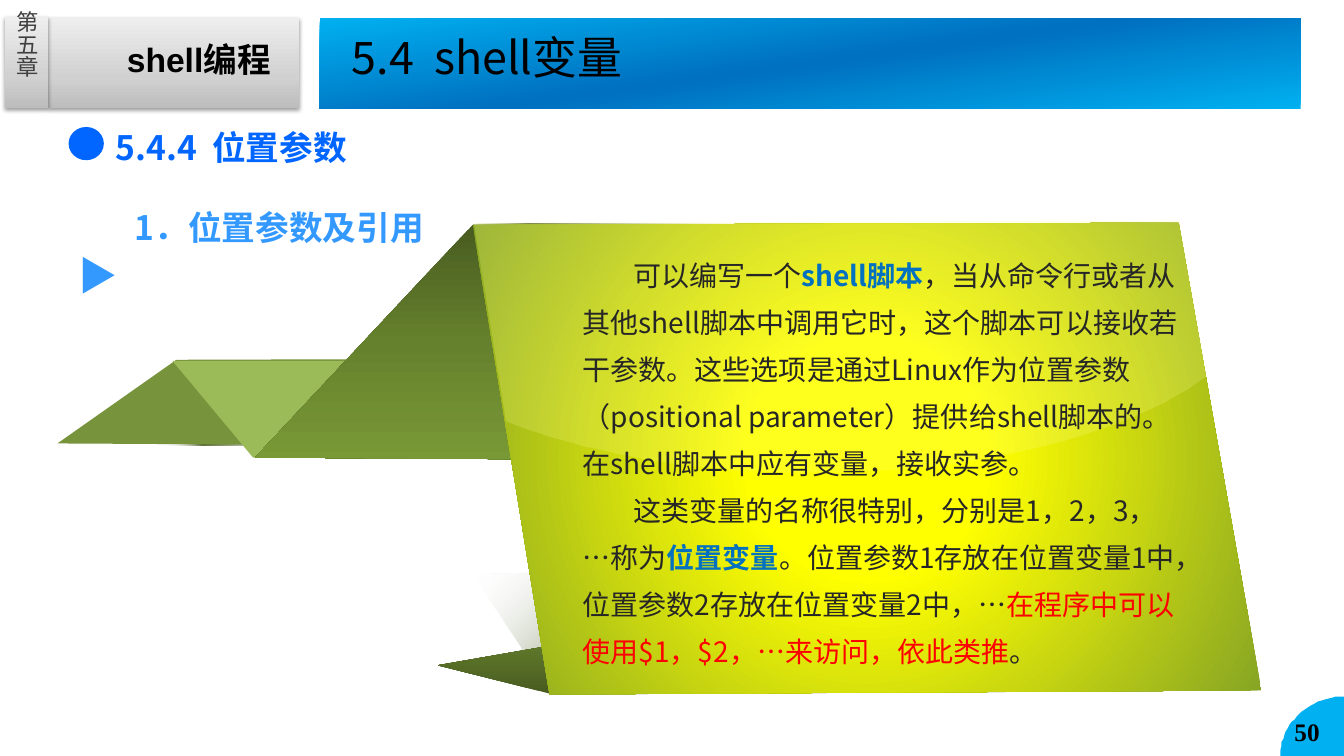
from lxml import etree
from pptx import Presentation
from pptx import util as u
from pptx.dml.color import RGBColor
from pptx.enum import shapes, text
from pptx.oxml import ns

# Grid: the slide is 1333 columns by 750 rows
COLS, ROWS = 1333, 750
CELL = u.Inches(0.01)
SANS, ARIAL, TIMES = "Noto Sans CJK SC", "Arial", "Times New Roman"
COLORS = {
    "black": "000000", "body": "262626", "chapter": "404040", "key": "0070C0",
    "alert": "FF0000", "section": "0066FF", "item": "3399FF", "sky": "00B0F0",
    "leaf": "9BBB59", "moss": "77933C", "gloss": "FFFF99", "shade": "4F6228",
    "white": "FFFFFF", "grey1": "BDBDBD", "grey2": "D1D1D1", "grey3": "EEEEEE",
    "olive1": "485B20", "olive2": "66812D", "olive3": "799936",
    "yellow": "FFFF00", "edge": "86A424",
}

# Content: runs are (text, colour, bold)
TITLE = [("5.4  shell变量", "black", False)]
BODY = [
    [("可以编写一个", "body", False), ("shell脚本", "key", True),
     ("，当从命令行或者从其他shell脚本中调用它时，这个脚本可以接收若干参数。"
      "这些选项是通过Linux作为位置参数（positional parameter）提供给shell脚本的。"
      "在shell脚本中应有变量，接收实参。", "body", False)],
    [("这类变量的名称很特别，分别是1，2，3，…称为", "body", False),
     ("位置变量", "key", True),
     ("。位置参数1存放在位置变量1中，位置参数2存放在位置变量2中，…", "body", False),
     ("在程序中可以使用$1，$2，…来访问，依此类推", "alert", False),
     ("。", "body", False)],
]
# Labels: box, size, font, run
LABELS = {
    "course": ((116, 34, 201, 53), 24, ARIAL, ("shell编程", "black", True)),
    "page": ((1274, 706, 59, 40), 18, TIMES, ("50", "black", True)),
    "section": ((105, 113, 423, 58), 24, SANS, ("5.4.4  位置参数", "section", True)),
    "arrow": ((68, 244, 67, 57), 28, SANS, ("▶", "item", True)),
    "item": ((124, 200, 307, 93), 24, SANS, ("1．位置参数及引用", "item", True)),
}

# Gradients: stops as (position, colour, alpha), then an angle or a focus rectangle
SILVER = ([(0, "grey1", 100), (35, "grey2", 100), (100, "grey3", 100)], 270)
BANNER = ([(0, "sky", 100), (50, "key", 100), (100, "sky", 100)], 262)
FADE_STOPS = [(0, "white", 0), (22, "shade", 100), (100, "white", 0)]
OLIVE_STOPS = [(0, "olive1", 100), (50, "olive2", 100), (100, "olive3", 100)]
GLOW = ([(26, "yellow", 100), (100, "edge", 100)], (50, 50, 50, 50))


def bezier(a, b, c, d, steps=24):
    """Points along a cubic curve, start left out."""
    ts = [i / steps for i in range(1, steps + 1)]
    return [tuple((1 - t) ** 3 * p + 3 * t * (1 - t) ** 2 * q
                  + 3 * t * t * (1 - t) * v + t ** 3 * w
                  for p, q, v, w in zip(a, b, c, d)) for t in ts]


CORNER = ([(1270, ROWS), (1270, 744)]
          + bezier((1270, 744), (1274, 713), (1302, 691), (COLS, 691))
          + [(COLS, ROWS)])
GLOSS = ([(1170, 219), (1197, 373)]
         + bezier((1197, 373), (1122, 430), (976, 469), (809, 469))
         + bezier((809, 469), (690, 469), (582, 450), (502, 418))
         + [(470, 221)])
# Folded ribbon, from back to front
RIBBON = [
    ([(470, 570), (710, 564), (710, 687), (547, 687)], (FADE_STOPS, (100, 100, 0, 0))),
    ([(172, 365), (344, 365), (344, 442), (161, 442)], (FADE_STOPS, 0)),
    ([(473, 222), (772, 222), (772, 455), (454, 455)], (FADE_STOPS, 0)),
    ([(434, 660), (986, 564), (1091, 686), (549, 689)], (OLIVE_STOPS, 270)),
    ([(503, 356), (175, 357), (57, 440), (414, 442)], "moss"),
    ([(849, 455), (251, 454), (171, 358), (688, 358)], "leaf"),
    ([(1067, 222), (469, 223), (253, 454), (906, 458)], (OLIVE_STOPS, 90)),
    ([(469, 223), (1169, 221), (1251, 685), (545, 689)], GLOW),
    (GLOSS, ([(0, "gloss", 20), (100, "gloss", 20)], 0)),
]

prs = Presentation()
prs.slide_width, prs.slide_height = COLS * CELL, ROWS * CELL
s = prs.slides.add_slide(prs.slide_layouts[5])


def cells(box):
    return [v * CELL for v in box]


def sub(parent, tag, **attrs):
    return etree.SubElement(parent, ns.qn(tag), {k: str(v) for k, v in attrs.items()})


def add_color(parent, name, alpha):
    clr = sub(parent, "a:srgbClr", val=COLORS[name])
    if alpha < 100:
        sub(clr, "a:alpha", val=alpha * 1000)


def paint(sp, fill):
    sp.shadow.inherit = False
    sp.line.fill.background()
    if isinstance(fill, str):
        sp.fill.solid()
        sp.fill.fore_color.rgb = RGBColor.from_string(COLORS[fill])
        return sp
    stops, direction = fill
    sp.fill.gradient()
    grad = sp._element.spPr.find(ns.qn("a:gradFill"))
    grad.clear()
    stop_list = sub(grad, "a:gsLst")
    for pos, name, alpha in stops:
        add_color(sub(stop_list, "a:gs", pos=pos * 1000), name, alpha)
    if isinstance(direction, tuple):
        focus = sub(grad, "a:path", path="circle")
        sub(focus, "a:fillToRect", **{k: v * 1000 for k, v in zip("ltrb", direction)})
    else:
        sub(grad, "a:lin", ang=direction * 60000, scaled=0)
    return sp


def add_block(box, fill, kind=shapes.MSO_SHAPE.RECTANGLE):
    return paint(s.shapes.add_shape(kind, *cells(box)), fill)


def add_outline(points, fill):
    builder = s.shapes.build_freeform(*points[0], scale=CELL)
    builder.add_line_segments(points[1:], close=True)
    return paint(builder.convert_to_shape(), fill)


def add_shadow(sp):
    effects = sp._element.spPr.find(ns.qn("a:effectLst"))
    shadow = sub(effects, "a:outerShdw", blurRad=u.Pt(3.1), dist=u.Pt(1.6), dir=90 * 60000)
    add_color(shadow, "black", 38)


def add_runs(p, runs, size, font=SANS):
    for words, color, bold in runs:
        r = p.add_run()
        r.text = words
        r.font.size, r.font.bold, r.font.name = u.Pt(size), bold, font
        r.font.color.rgb = RGBColor.from_string(COLORS[color])
        sub(r._r.get_or_add_rPr(), "a:ea", typeface=SANS)


def add_text(box):
    tf = s.shapes.add_textbox(*cells(box)).text_frame
    tf.word_wrap = True
    return tf


def no_margins(tf):
    tf.margin_left = tf.margin_top = tf.margin_right = tf.margin_bottom = 0


# Header and page corner
for tab in [(48, 18, 249, 89), (5, 17, 43, 90)]:
    add_shadow(add_block(tab, SILVER))
banner = add_block((317, 18, 973, 90), BANNER)
add_outline(CORNER, "sky")

# Title
title = s.shapes.title
banner._element.addnext(title._element)
title.left, title.top, title.width, title.height = cells((349, 29, 510, 69))
tf = title.text_frame
no_margins(tf)
tf.vertical_anchor = text.MSO_ANCHOR.TOP
tf.paragraphs[0].alignment = text.PP_ALIGN.LEFT
add_runs(tf.paragraphs[0], TITLE, 32)

# Vertical chapter label
tf = add_text((12, 11, 29, 67))
no_margins(tf)
tf.vertical_anchor = text.MSO_ANCHOR.MIDDLE
tf._txBody.bodyPr.set("vert", "eaVert")
tf.paragraphs[0].alignment = text.PP_ALIGN.CENTER
add_runs(tf.paragraphs[0], [("第五章", "chapter", False)], 16)

# Ribbon, bullet and labels
for points, fill in RIBBON:
    add_outline(points, fill)
add_block((68, 126, 35, 33), "section", shapes.MSO_SHAPE.OVAL)
for name, (box, size, font, run) in LABELS.items():
    p = add_text(box).paragraphs[0]
    if name == "section":
        p.line_spacing = 1.2
    add_runs(p, [run], size, font)

# Body text
tf = add_text((568, 238, 611, 430))
for i, runs in enumerate(BODY):
    p = tf.add_paragraph() if i else tf.paragraphs[0]
    p.line_spacing = 1.4
    p._p.get_or_add_pPr().set("indent", str(u.Inches(0.5)))
    add_runs(p, runs, 20)

prs.save("out.pptx")
